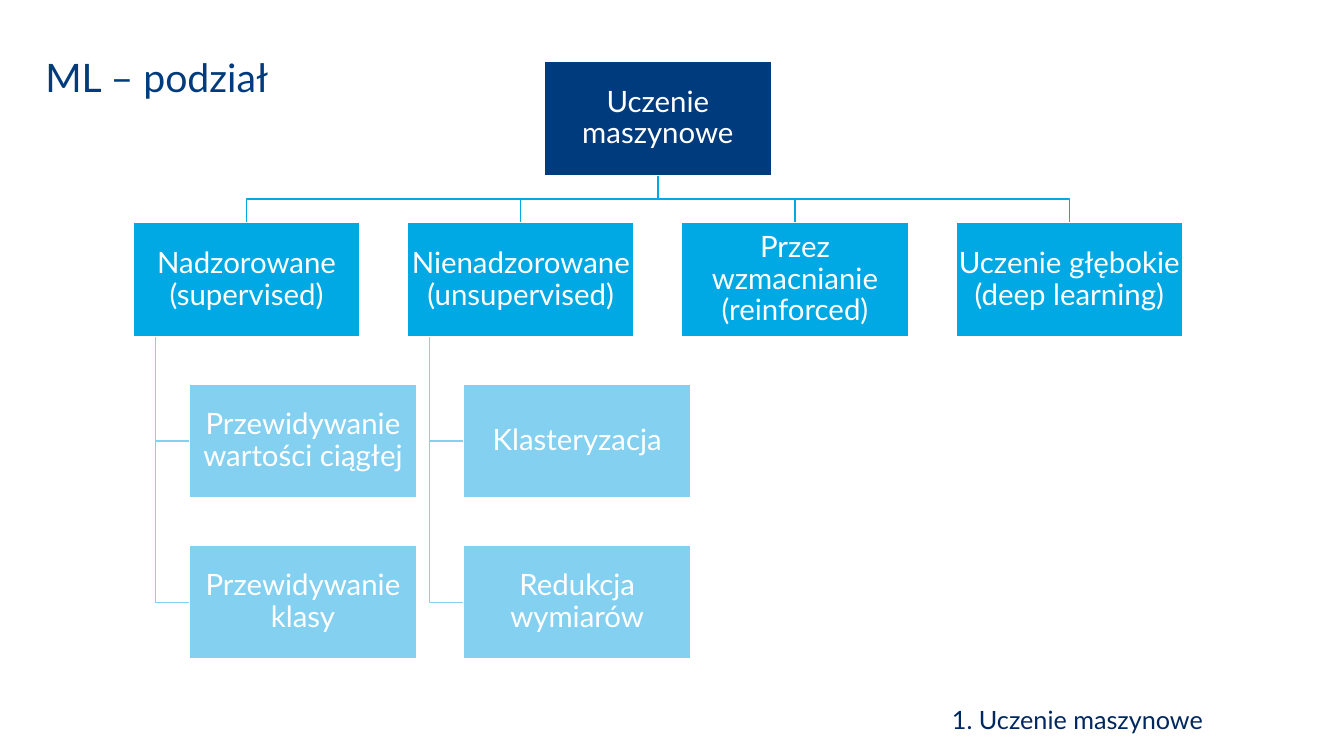
from dataclasses import dataclass

from pptx import Presentation
from pptx.dml.color import RGBColor
from pptx.enum.shapes import MSO_SHAPE
from pptx.enum.text import MSO_ANCHOR, PP_ALIGN
from pptx.util import Inches, Pt

RECT = MSO_SHAPE.RECTANGLE
TOP, MIDDLE = MSO_ANCHOR.TOP, MSO_ANCHOR.MIDDLE
LEFT, CENTER, RIGHT = PP_ALIGN.LEFT, PP_ALIGN.CENTER, PP_ALIGN.RIGHT


@dataclass(frozen=True)
class Theme:
    """Font, colours and type sizes of the slide."""
    font: str = "Lato"
    navy: str = "003C7D"
    blue: str = "00A8E4"
    pale: str = "84D0F0"
    white: str = "FFFFFF"
    footer: str = "00285F"
    title_size: int = 28
    box_size: int = 21
    footer_size: int = 18
    line_width: int = 1


THEME = Theme()
BOX_W, BOX_H = 2.25, 1.13
TREE_X, TREE_Y = 1.32, 0.61
COL_STEP, ROW_STEP = 2.72, 1.6
CHILD_INDENT, SPINE_INDENT = 0.56, 0.22

ROOT = "Uczenie maszynowe"
BRANCHES = [
    ("Nadzorowane (supervised)",
     ["Przewidywanie wartości ciągłej", "Przewidywanie klasy"]),
    ("Nienadzorowane (unsupervised)", ["Klasteryzacja", "Redukcja wymiarów"]),
    ("Przez wzmacnianie (reinforced)", []),
    ("Uczenie głębokie (deep learning)", []),
]


def rgb(color):
    """Turn a hex string into a colour."""
    return RGBColor.from_string(color)


def set_text(sp, text, size, color, align, anchor=TOP, spacing=None, inset=None):
    """Write one formatted paragraph into a shape."""
    tf = sp.text_frame
    frame = {"word_wrap": True, "vertical_anchor": anchor}
    if inset is not None:
        for side in ("left", "top", "right", "bottom"):
            frame[f"margin_{side}"] = Inches(inset)
    for name, value in frame.items():
        setattr(tf, name, value)
    p = tf.paragraphs[0]
    for name, value in {"alignment": align, "line_spacing": spacing}.items():
        setattr(p, name, value)
    r = p.add_run()
    r.text = text
    for name, value in {"name": THEME.font, "size": Pt(size)}.items():
        setattr(r.font, name, value)
    r.font.color.rgb = rgb(color)


def add_label(s, area, text, size, color, align, **layout):
    """Add a text box."""
    sp = s.shapes.add_textbox(*map(Inches, area))
    set_text(sp, text, size, color, align, **layout)


def set_line(sp, color):
    """Outline a shape and drop its shadow."""
    sp.shadow.inherit = False
    sp.line.color.rgb = rgb(color)
    sp.line.width = Pt(THEME.line_width)


def add_box(s, x, y, text, fill):
    """Add one box of the tree."""
    sp = s.shapes.add_shape(RECT, *map(Inches, (x, y, BOX_W, BOX_H)))
    sp.fill.solid()
    sp.fill.fore_color.rgb = rgb(fill)
    set_line(sp, THEME.white)
    set_text(sp, text, THEME.box_size, THEME.white, CENTER,
             anchor=MIDDLE, spacing=0.9, inset=0.01)


def add_elbow(s, points, color):
    """Add an open bent line through the points."""
    start, *rest = [tuple(map(Inches, point)) for point in points]
    builder = s.shapes.build_freeform(*start)
    builder.add_line_segments(rest, close=False)
    sp = builder.convert_to_shape()
    sp.fill.background()
    set_line(sp, color)


def add_branch(s, x, y, text, children):
    """Add a second-level box with its children and their links."""
    child_x, spine_x = x + CHILD_INDENT, x + SPINE_INDENT
    for row, child in enumerate(children, 1):
        child_y = y + row * ROW_STEP
        mid_y = child_y + BOX_H / 2
        add_elbow(s, [(spine_x, y + BOX_H), (spine_x, mid_y), (child_x, mid_y)],
                  THEME.pale)
        add_box(s, child_x, child_y, child, THEME.pale)
    add_box(s, x, y, text, THEME.blue)


def add_tree(s):
    """Add the root, its branches and the links between them."""
    root_x = TREE_X + COL_STEP * (len(BRANCHES) - 1) / 2
    root_mid, root_bottom = root_x + BOX_W / 2, TREE_Y + BOX_H
    branch_y = TREE_Y + ROW_STEP
    bus_y = (root_bottom + branch_y) / 2
    for col, (text, children) in enumerate(BRANCHES):
        x = TREE_X + col * COL_STEP
        mid = x + BOX_W / 2
        add_elbow(s, [(root_mid, root_bottom), (root_mid, bus_y),
                      (mid, bus_y), (mid, branch_y)], THEME.blue)
        add_branch(s, x, branch_y, text, children)
    add_box(s, root_x, TREE_Y, ROOT, THEME.navy)


def main():
    """Build and save the slide."""
    prs = Presentation()
    prs.slide_width, prs.slide_height = Inches(13.33), Inches(7.5)
    s = prs.slides.add_slide(prs.slide_layouts[6])
    add_label(s, (0.45, 0.61, 12.44, 0.52), "ML – podział", THEME.title_size,
              THEME.navy, LEFT, spacing=Pt(THEME.title_size), inset=0)
    add_tree(s)
    add_label(s, (8.32, 6.94, 3.71, 0.4), "1. Uczenie maszynowe",
              THEME.footer_size, THEME.footer, RIGHT)
    prs.save("out.pptx")


if __name__ == "__main__":
    main()
